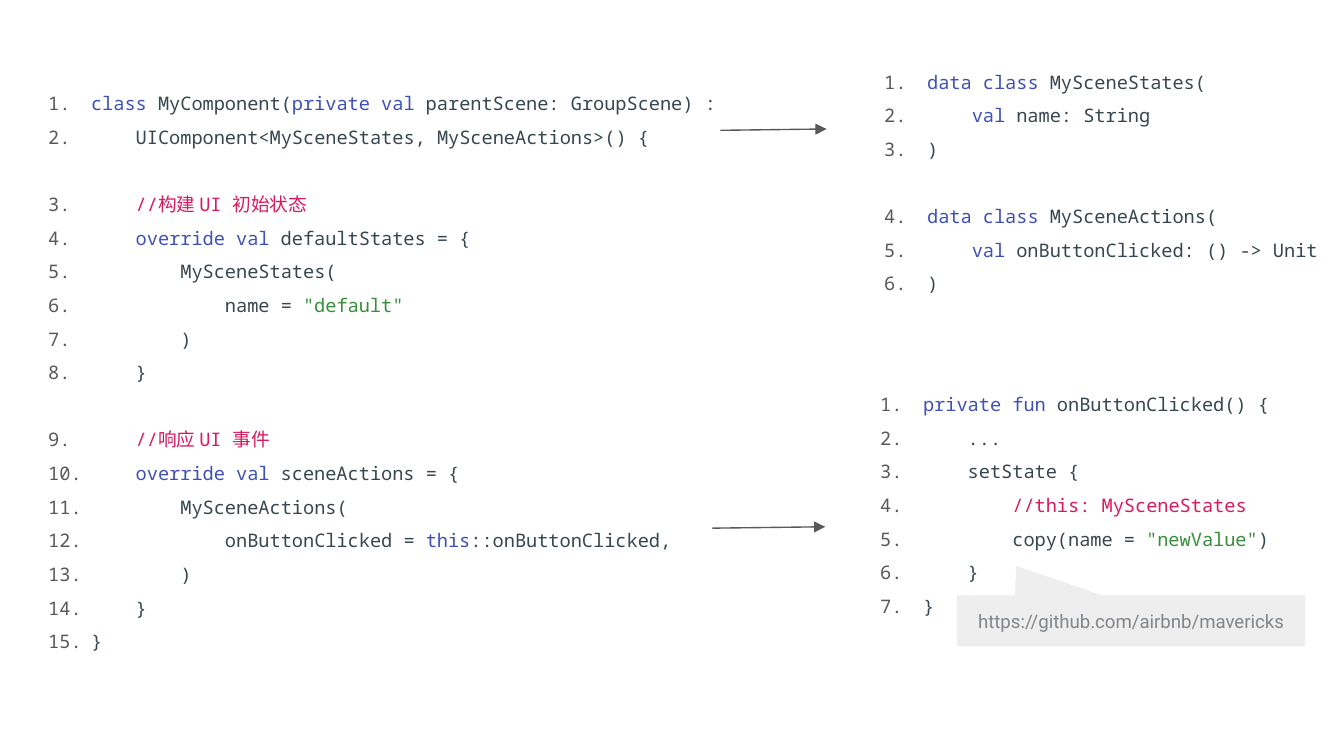
import pptx
import pptx.dml.color
import pptx.enum.shapes
import pptx.enum.text
import pptx.oxml.ns
import pptx.util
from lxml import etree
from pptx.util import Inches

RGBColor = pptx.dml.color.RGBColor
KEYWORD = RGBColor(0x3F, 0x51, 0xB5)
PLAIN = RGBColor(0x37, 0x47, 0x4F)
COMMENT = RGBColor(0xD8, 0x1B, 0x60)
STRING = RGBColor(0x38, 0x8E, 0x3C)
GREY = RGBColor(0x59, 0x59, 0x59)
CALLOUT_FILL = RGBColor(0xEE, 0xEE, 0xEE)
CALLOUT_TEXT = RGBColor(0x80, 0x86, 0x8B)
CODE_FONT = "Noto Sans Mono"

COMPONENT = [
    [
        [("class", KEYWORD), (" MyComponent(", PLAIN), ("private val", KEYWORD),
         (" parentScene: GroupScene) :", PLAIN)],
        [("    UIComponent<MySceneStates, MySceneActions>() {", PLAIN)],
    ],
    [
        [("    ", PLAIN), ("//构建 UI 初始状态", COMMENT)],
        [("    ", PLAIN), ("override val", KEYWORD), (" defaultStates = {", PLAIN)],
        [("        MySceneStates(", PLAIN)],
        [("            name = ", PLAIN), ('"default"', STRING)],
        [("        )", PLAIN)],
        [("    }", PLAIN)],
    ],
    [
        [("    ", PLAIN), ("//响应 UI 事件", COMMENT)],
        [("    ", PLAIN), ("override val", KEYWORD), (" sceneActions = {", PLAIN)],
        [("        MySceneActions(", PLAIN)],
        [("            onButtonClicked = ", PLAIN), ("this", KEYWORD),
         ("::onButtonClicked,", PLAIN)],
        [("        )", PLAIN)],
        [("    }", PLAIN)],
        [("}", PLAIN)],
    ],
]
DATA_CLASSES = [
    [
        [("data class", KEYWORD), (" MySceneStates(", PLAIN)],
        [("    ", PLAIN), ("val", KEYWORD), (" name: String", PLAIN)],
        [(")", PLAIN)],
    ],
    [
        [("data class", KEYWORD), (" MySceneActions(", PLAIN)],
        [("    ", PLAIN), ("val", KEYWORD), (" onButtonClicked: () -> Unit", PLAIN)],
        [(")", PLAIN)],
    ],
]
CLICK_HANDLER = [
    [
        [("private fun", KEYWORD), (" onButtonClicked() {", PLAIN)],
        [("    ...", PLAIN)],
        [("    setState {", PLAIN)],
        [("        //this: MySceneStates", COMMENT)],
        [("        copy(name = ", PLAIN), ('"newValue"', STRING), (")", PLAIN)],
        [("    }", PLAIN)],
        [("}", PLAIN)],
    ],
]


def add_element(parent, tag, **attributes):
    """Append a DrawingML child element and return it."""
    return etree.SubElement(parent, pptx.oxml.ns.qn(tag), attributes)


def set_insets(frame):
    """Wrap the text and give all four sides the same inset."""
    frame.word_wrap = True
    frame.margin_left = frame.margin_right = Inches(0.1)
    frame.margin_top = frame.margin_bottom = Inches(0.1)


def number_line(paragraph):
    """Give a code line its grey automatic number and hanging indent."""
    properties = paragraph._p.get_or_add_pPr()
    properties.set("marL", str(Inches(0.5)))
    properties.set("indent", str(Inches(-0.32)))
    colour = add_element(properties, "a:buClr")
    add_element(colour, "a:srgbClr", val=str(GREY))
    add_element(properties, "a:buFont", typeface=CODE_FONT)
    add_element(properties, "a:buAutoNum", type="arabicPeriod")
    paragraph.line_spacing = 1.5


def add_code(slide, left, top, width, height, blocks):
    """Place numbered, highlighted code with a one-line gap between blocks."""
    listing = slide.shapes.add_textbox(Inches(left), Inches(top), Inches(width), Inches(height))
    frame = listing.text_frame
    set_insets(frame)
    line = frame.paragraphs[0]
    for block_index, block in enumerate(blocks):
        for line_index, tokens in enumerate(block):
            if block_index or line_index:
                line = frame.add_paragraph()
            number_line(line)
            if block_index and not line_index:
                line.space_before = pptx.util.Pt(18)
            for text, colour in tokens:
                token = line.add_run()
                token.text = text
                token.font.size = pptx.util.Pt(10)
                token.font.name = CODE_FONT
                token.font.color.rgb = colour


def add_arrow(slide, start_x, start_y, end_x, end_y):
    """Draw a thin grey arrow between two points."""
    arrow = slide.shapes.add_connector(
        pptx.enum.shapes.MSO_CONNECTOR.STRAIGHT,
        Inches(start_x), Inches(start_y), Inches(end_x), Inches(end_y))
    arrow.line.color.rgb = GREY
    arrow.line.width = pptx.util.Pt(0.75)
    add_element(arrow.line._get_or_add_ln(), "a:tailEnd", type="triangle")
    add_element(arrow._element.spPr, "a:effectLst")


def add_link_callout(slide, left, top, width, height, address):
    """Place a grey callout that points up at the code and shows an address."""
    callout = slide.shapes.add_shape(
        pptx.enum.shapes.MSO_SHAPE.RECTANGULAR_CALLOUT,
        Inches(left), Inches(top), Inches(width), Inches(height))
    callout.adjustments[0] = -0.33
    callout.adjustments[1] = -1.08
    callout.shadow.inherit = False
    callout.fill.solid()
    callout.fill.fore_color.rgb = CALLOUT_FILL
    callout.line.fill.background()
    frame = callout.text_frame
    set_insets(frame)
    frame.vertical_anchor = pptx.enum.text.MSO_ANCHOR.MIDDLE
    frame.text = address
    paragraph = frame.paragraphs[0]
    paragraph.alignment = pptx.enum.text.PP_ALIGN.CENTER
    font = paragraph.runs[0].font
    font.size = pptx.util.Pt(10)
    font.name = "Roboto"
    font.color.rgb = CALLOUT_TEXT


def main():
    """Build and save the slide."""
    presentation = pptx.Presentation()
    presentation.slide_width = Inches(10)
    presentation.slide_height = presentation.slide_width * 9 // 16
    slide = presentation.slides.add_slide(presentation.slide_layouts[6])
    add_code(slide, 0.08, 0.5, 5.47, 5.19, COMPONENT)
    add_code(slide, 6.3, 0.34, 3.92, 3.01, DATA_CLASSES)
    add_code(slide, 6.27, 2.74, 3.65, 2.75, CLICK_HANDLER)
    add_arrow(slide, 5.3, 3.93, 6.14, 3.92)
    add_arrow(slide, 5.36, 0.97, 6.15, 0.96)
    add_link_callout(slide, 7.12, 4.43, 2.59, 0.38, "https://github.com/airbnb/mavericks")
    presentation.save("out.pptx")


if __name__ == "__main__":
    main()
